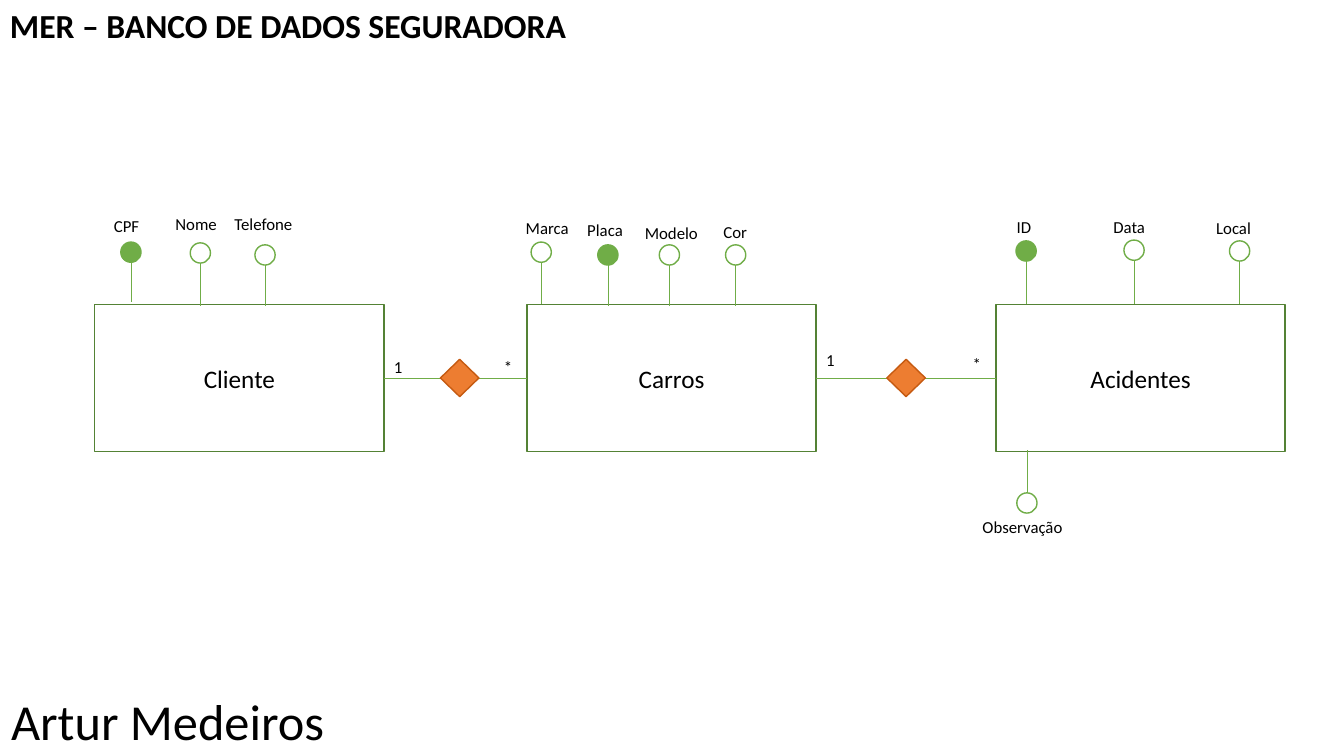
"""Build the entity-relationship slide of an insurance database."""
from dataclasses import dataclass
from typing import NamedTuple

from lxml.etree import SubElement
from pptx import Presentation
from pptx.dml.color import RGBColor
from pptx.enum.shapes import MSO_CONNECTOR, MSO_SHAPE
from pptx.enum.text import MSO_ANCHOR, PP_ALIGN
from pptx.oxml.ns import qn
from pptx.shapes.autoshape import Shape
from pptx.slide import Slide
from pptx.util import Cm, Pt


@dataclass(frozen=True)
class Theme:
    font: str = "Calibri"
    text: RGBColor = RGBColor(0, 0, 0)
    paper: RGBColor = RGBColor(255, 255, 255)
    green: RGBColor = RGBColor.from_string("70AD47")
    dark_green: RGBColor = RGBColor.from_string("548235")
    orange: RGBColor = RGBColor.from_string("ED7D31")
    dark_orange: RGBColor = RGBColor.from_string("C55A11")
    label_size: int = 12
    entity_size: int = 18
    title_size: int = 24
    author_size: int = 36
    outline: float = 1
    connector: float = 0.5


class Entity(NamedTuple):
    name: str
    left: float


class Attribute(NamedTuple):
    name: str
    center: float
    circle_top: float
    stem_end: float
    label_left: float
    label_top: float
    label_width: float
    is_key: bool = False


class Relationship(NamedTuple):
    source: Entity
    target: Entity
    diamond_left: float


class Cardinality(NamedTuple):
    symbol: str
    left: float
    top: float


THEME = Theme()
ENTITY_TOP, ENTITY_WIDTH, ENTITY_HEIGHT = 7.67, 7.29, 3.71
AXIS = ENTITY_TOP + ENTITY_HEIGHT / 2
CIRCLE = 0.51
DIAMOND_WIDTH, DIAMOND_HEIGHT = 0.97, 0.94
LABEL_HEIGHT = 0.76
CARDINALITY_WIDTH = 1.07

CLIENT = Entity("Cliente", 2.39)
CARS = Entity("Carros", 13.28)
ACCIDENTS = Entity("Acidentes", 25.1)

ATTRIBUTES = (
    Attribute("CPF", 3.3, 6.1, 7.62, 2.62, 5.31, 2.03, True),
    Attribute("Nome", 5.05, 6.12, 7.72, 4.17, 5.26, 2.03),
    Attribute("Telefone", 6.68, 6.17, 7.72, 5.66, 5.26, 2.51),
    Attribute("Marca", 13.64, 6.1, 7.67, 13.0, 5.36, 1.7),
    Attribute("Placa", 15.32, 6.17, 7.72, 14.55, 5.41, 1.7, True),
    Attribute("Modelo", 16.87, 6.17, 7.7, 16.0, 5.49, 1.91),
    Attribute("Cor", 18.54, 6.17, 7.72, 17.98, 5.46, 1.22),
    Attribute("ID", 25.86, 6.07, 7.67, 25.37, 5.33, 1.55, True),
    Attribute("Data", 28.58, 6.05, 7.65, 27.81, 5.33, 1.73),
    Attribute("Local", 31.24, 6.07, 7.67, 30.4, 5.36, 2.16),
    Attribute("Observação", 25.88, 12.42, 11.33, 24.51, 12.9, 2.79),
)
RELATIONSHIPS = (
    Relationship(CLIENT, CARS, 11.1),
    Relationship(CARS, ACCIDENTS, 22.35),
)
CARDINALITIES = (
    Cardinality("1", 9.68, 8.86),
    Cardinality("*", 12.45, 8.86),
    Cardinality("1", 20.57, 8.69),
    Cardinality("*", 24.26, 8.79),
)


def write_text(shape: Shape, text: str, *, size: float, bold: bool = False,
               align: PP_ALIGN = PP_ALIGN.LEFT, anchor: MSO_ANCHOR = MSO_ANCHOR.TOP) -> None:
    """Put formatted text into a shape."""
    frame = shape.text_frame
    frame.text = text
    frame.word_wrap = True
    frame.vertical_anchor = anchor
    frame.margin_left = frame.margin_right = Cm(0.25)
    frame.margin_top = frame.margin_bottom = Cm(0.13)
    paragraph = frame.paragraphs[0]
    paragraph.alignment = align
    font = paragraph.runs[0].font
    font.name, font.size, font.bold = THEME.font, Pt(size), bold
    font.color.rgb = THEME.text


def add_label(slide: Slide, text: str, left: float, top: float, width: float,
              height: float = LABEL_HEIGHT, size: float = THEME.label_size) -> None:
    """Add a text box."""
    label = slide.shapes.add_textbox(Cm(left), Cm(top), Cm(width), Cm(height))
    write_text(label, text, size=size)


def add_figure(slide: Slide, kind: MSO_SHAPE, left: float, top: float, width: float,
               height: float, fill: RGBColor, line: RGBColor) -> Shape:
    """Add a filled and outlined preset shape."""
    shape = slide.shapes.add_shape(kind, Cm(left), Cm(top), Cm(width), Cm(height))
    shape.shadow.inherit = False
    shape.fill.solid()
    shape.fill.fore_color.rgb = fill
    shape.line.color.rgb = line
    shape.line.width = Pt(THEME.outline)
    return shape


def add_line(slide: Slide, left: float, top: float, right: float, bottom: float) -> None:
    """Add a thin green connector."""
    line = slide.shapes.add_connector(
        MSO_CONNECTOR.STRAIGHT, Cm(left), Cm(top), Cm(right), Cm(bottom))
    line.line.color.rgb = THEME.green
    line.line.width = Pt(THEME.connector)
    SubElement(line._element.spPr, qn("a:effectLst"))


def add_entity(slide: Slide, entity: Entity) -> None:
    """Draw an entity box with its name."""
    shape = add_figure(slide, MSO_SHAPE.RECTANGLE, entity.left, ENTITY_TOP, ENTITY_WIDTH,
                       ENTITY_HEIGHT, THEME.paper, THEME.dark_green)
    write_text(shape, entity.name, size=THEME.entity_size,
               align=PP_ALIGN.CENTER, anchor=MSO_ANCHOR.MIDDLE)


def add_attribute(slide: Slide, attribute: Attribute) -> None:
    """Draw an attribute circle with its stem and label."""
    is_above = attribute.circle_top < attribute.stem_end
    stem_start = attribute.circle_top + (CIRCLE if is_above else 0)
    add_figure(slide, MSO_SHAPE.OVAL, attribute.center - CIRCLE / 2, attribute.circle_top,
               CIRCLE, CIRCLE, THEME.green if attribute.is_key else THEME.paper, THEME.green)
    add_line(slide, attribute.center, stem_start, attribute.center, attribute.stem_end)
    add_label(slide, attribute.name, attribute.label_left, attribute.label_top,
              attribute.label_width)


def add_relationship(slide: Slide, relationship: Relationship) -> None:
    """Join two entities through a diamond."""
    add_line(slide, relationship.source.left + ENTITY_WIDTH, AXIS,
             relationship.target.left, AXIS)
    add_figure(slide, MSO_SHAPE.DIAMOND, relationship.diamond_left, AXIS - DIAMOND_HEIGHT / 2,
               DIAMOND_WIDTH, DIAMOND_HEIGHT, THEME.orange, THEME.dark_orange)


def main() -> None:
    """Build and save the presentation."""
    presentation = Presentation()
    presentation.slide_width, presentation.slide_height = Cm(33.87), Cm(19.05)
    slide = presentation.slides.add_slide(presentation.slide_layouts[5])
    title = slide.shapes.title
    title.left, title.top, title.width, title.height = Cm(0), Cm(0), Cm(15.32), Cm(1.27)
    write_text(title, "MER – BANCO DE DADOS SEGURADORA", size=THEME.title_size, bold=True)
    for entity in (CLIENT, CARS, ACCIDENTS):
        add_entity(slide, entity)
    for attribute in ATTRIBUTES:
        add_attribute(slide, attribute)
    for relationship in RELATIONSHIPS:
        add_relationship(slide, relationship)
    for cardinality in CARDINALITIES:
        add_label(slide, cardinality.symbol, cardinality.left, cardinality.top,
                  CARDINALITY_WIDTH)
    add_label(slide, "Artur Medeiros", 0.03, 17.25, 9.02, 1.8, THEME.author_size)
    presentation.save("out.pptx")


main()
